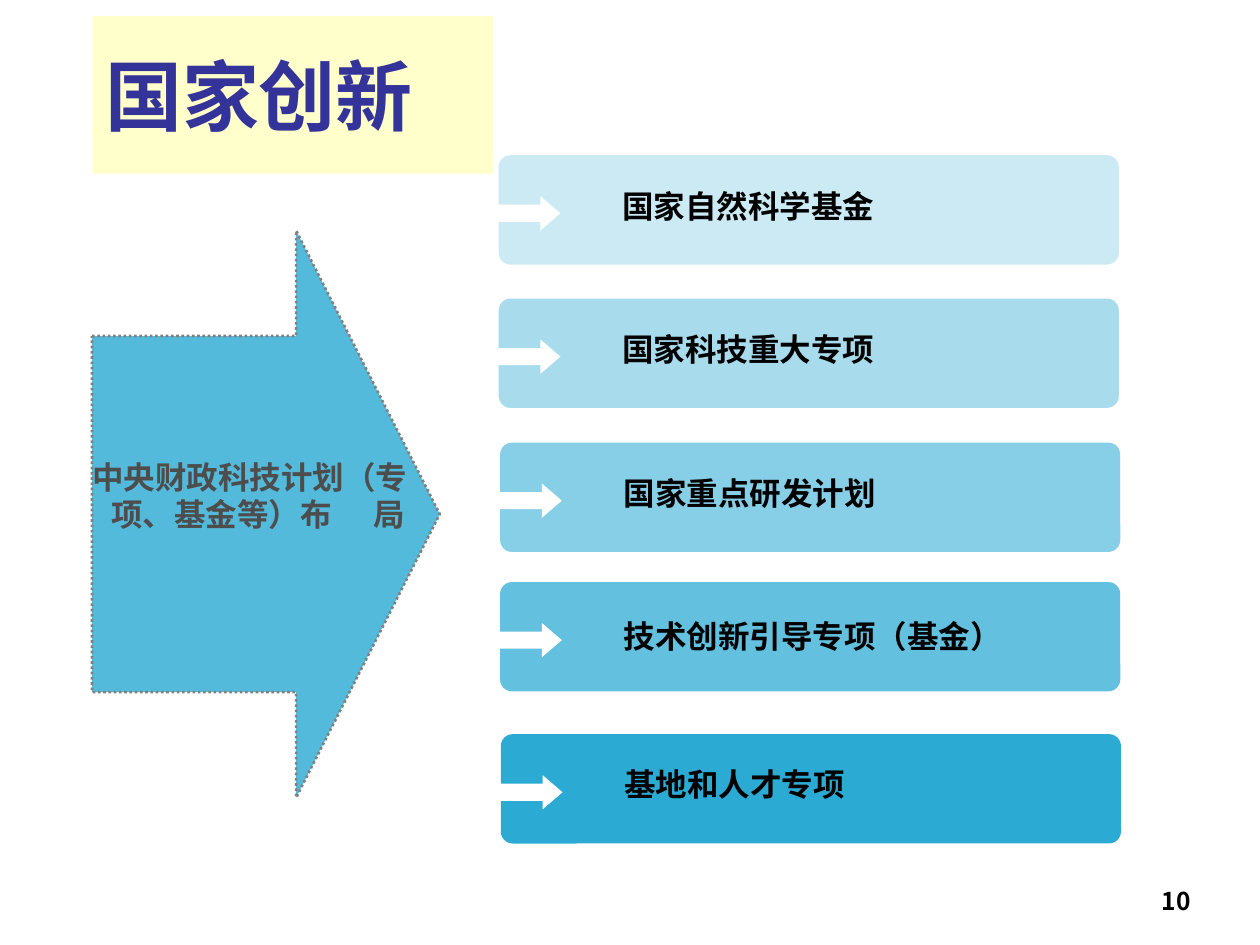
from dataclasses import dataclass

from lxml.etree import SubElement
from pptx import Presentation
from pptx.dml.color import RGBColor
from pptx.enum.dml import MSO_LINE
from pptx.enum.shapes import MSO_SHAPE as Preset
from pptx.enum.text import MSO_ANCHOR as Anchor, MSO_AUTO_SIZE as AutoSize, PP_ALIGN as Align
from pptx.oxml.ns import qn
from pptx.util import Pt


@dataclass(frozen=True)
class Theme:
    blue: str = "0099CC"
    white: str = "FFFFFF"
    black: str = "000000"
    grey: str = "4D4D4D"
    outline: str = "808080"
    banner: str = "FFFFCC"
    heading: str = "333399"
    body_font: str = "Noto Sans CJK SC"
    title_font: str = "Noto Sans CJK KR"
    title_size: int = 44
    body_size: int = 18
    number_size: int = 14


THEME = Theme()
PROGRAMMES = [
    ("国家自然科学基金", 285, 88.7, 14.4, 20),
    ("国家科技重大专项", 285, 170.6, 14.4, 34),
    ("国家重点研发计划", 285.8, 252.9, 14.4, 47),
    ("技术创新引导专项（基金）", 285.8, 332.6, 16.6, 61),
    ("基地和人才专项", 286.2, 419.5, 14.4, 83),
]


def box(left, top, width, height):
    return Pt(left), Pt(top), Pt(width), Pt(height)


def write(paragraph, text, *, size=THEME.body_size, color=THEME.black,
          font=THEME.body_font, align=Align.LEFT, spacing=0):
    paragraph.alignment = align
    run = paragraph.add_run()
    run.text = text
    run.font.size = Pt(size)
    run.font.bold = True
    run.font.name = font
    run.font.color.rgb = RGBColor.from_string(color)
    properties = run.font._element
    SubElement(properties, qn("a:ea")).set("typeface", font)
    if spacing:
        properties.set("spc", str(spacing * 100))


def add_label(slide, place):
    frame = slide.shapes.add_textbox(*box(*place)).text_frame
    frame.word_wrap = True
    return frame.paragraphs[0]


def add_block(slide, preset, place, color, adjustments, opacity=100):
    block = slide.shapes.add_shape(preset, *box(*place))
    block.shadow.inherit = False
    block.fill.solid()
    block.fill.fore_color.rgb = RGBColor.from_string(color)
    block.line.fill.background()
    for index, value in enumerate(adjustments):
        block.adjustments[index] = value
    if opacity < 100:
        tint = block._element.spPr.find(qn("a:solidFill"))[0]
        SubElement(tint, qn("a:alpha")).set("val", str(opacity * 1000))
    return block


def add_title(slide, text):
    title = slide.shapes.title
    title.left, title.top, title.width, title.height = box(52.8, 9.2, 229, 90)
    title.fill.solid()
    title.fill.fore_color.rgb = RGBColor.from_string(THEME.banner)
    frame = title.text_frame
    frame.auto_size = AutoSize.NONE
    frame.vertical_anchor = Anchor.MIDDLE
    write(frame.paragraphs[0], text, size=THEME.title_size,
          color=THEME.heading, font=THEME.title_font)


def add_plan_arrow(slide):
    arrow = add_block(slide, Preset.RIGHT_ARROW, (52.6, 131.8, 198.7, 324),
                      THEME.blue, (0.628, 0.413), 67)
    arrow.line.color.rgb = RGBColor.from_string(THEME.outline)
    arrow.line.width = Pt(1.5)
    arrow.line.dash_style = MSO_LINE.ROUND_DOT
    caption = add_label(slide, (40.6, 258, 204.5, 53.3))
    indents = caption._p.get_or_add_pPr()
    indents.set("marL", str(Pt(9.4)))
    indents.set("indent", str(-Pt(9.4)))
    style = dict(color=THEME.grey, align=Align.CENTER)
    write(caption, "中央财政科技计划（专项、基金等）布", **style)
    write(caption, "　", spacing=6, **style)
    write(caption, "局", **style)


def add_programme(slide, name, left, top, label_drop, opacity):
    add_block(slide, Preset.ROUNDED_RECTANGLE, (left, top, 354.4, 62.5),
              THEME.blue, (0.109,), opacity)
    add_block(slide, Preset.RIGHT_ARROW, (left - 3.6, top + 23.4, 38.9, 19.6),
              THEME.white, (0.5, 0.583))
    label = add_label(slide, (left + 63.6, top + label_drop, 293, 28.8))
    write(label, name, align=Align.JUSTIFY)


def main():
    deck = Presentation()
    deck.slide_width, deck.slide_height = Pt(720), Pt(540)
    slide = deck.slides.add_slide(deck.slide_layouts[5])
    add_title(slide, "国家创新")
    add_plan_arrow(slide)
    for programme in PROGRAMMES:
        add_programme(slide, *programme)
    page_number = add_label(slide, (519.8, 502.6, 167.8, 37.4))
    write(page_number, "10", size=THEME.number_size,
          font=THEME.title_font, align=Align.RIGHT)
    deck.save("out.pptx")


if __name__ == "__main__":
    main()
